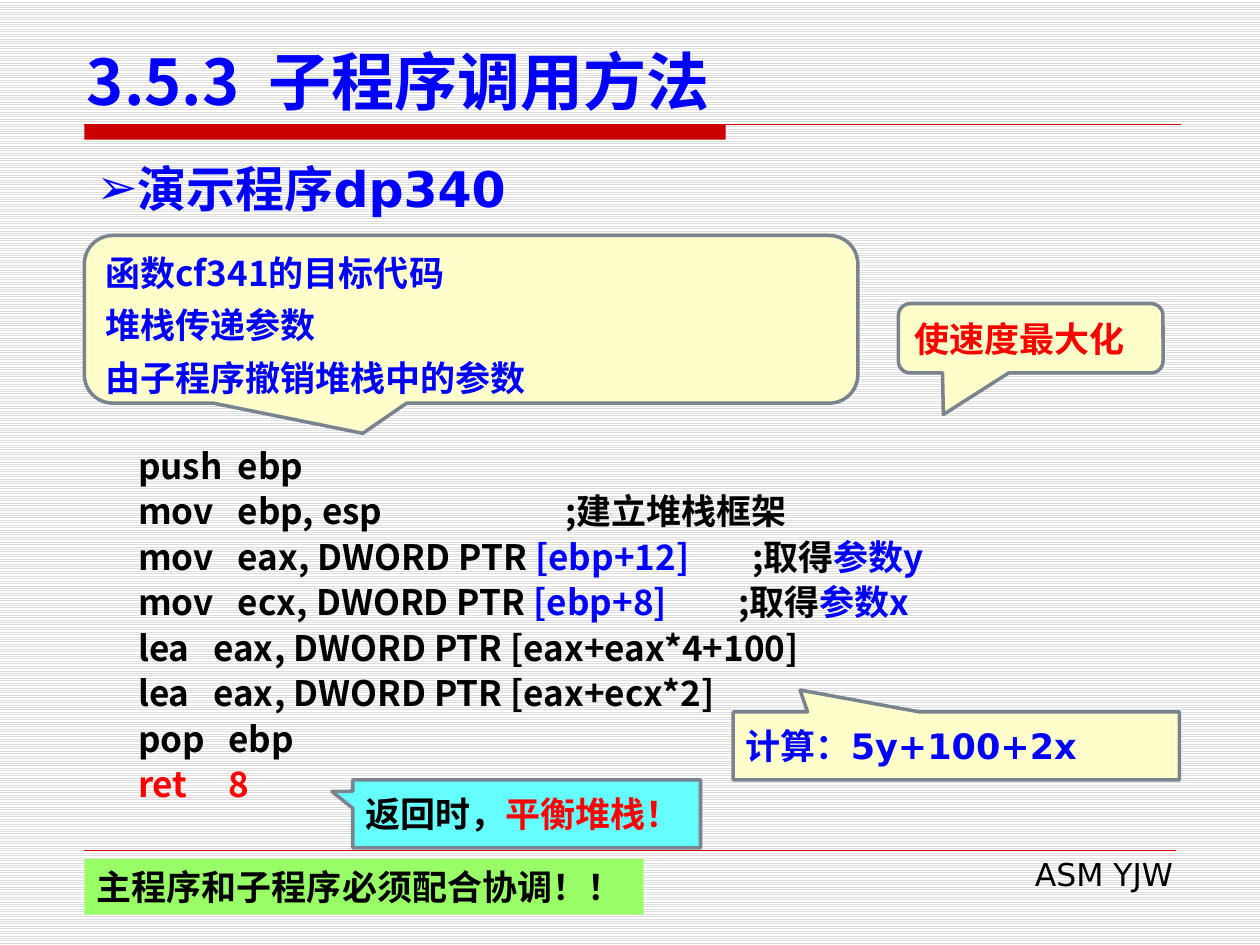
from lxml.etree import SubElement as Sub
from pptx import Presentation
from pptx.dml.color import RGBColor as RGB
from pptx.enum.dml import MSO_PATTERN as Pat
from pptx.enum.shapes import MSO_CONNECTOR as Conn, MSO_SHAPE as Kind
from pptx.enum.text import MSO_ANCHOR as Anchor, PP_ALIGN as Align
from pptx.oxml.ns import qn
from pptx.util import Pt

HEX = {"blue": "0000FF", "red": "FF0000", "black": "000000", "rule": "CC0000",
       "cream": "FFFFCC", "cyan": "66FFFF", "green": "99FF66",
       "edge": "79848F", "gray": "DDDDDD", "white": "FFFFFF"}
SANS, CJK = "DejaVu Sans", "Noto Sans CJK SC"

# Content: a paragraph is a list of (text, colour) runs
TITLE = [[("3.5.3  子程序调用方法", "blue")]]
TOPIC = [[("演示程序dp340", "blue")]]
FOOT = [[("ASM YJW", "black")]]

# Code lines: tab stops, then runs
CODE = [
    ([57], [("push\tebp", "black")]),
    ([57, 244], [("mov\tebp, esp\t;建立堆栈框架", "black")]),
    ([57, 351], [("mov\teax, DWORD PTR ", "black"), ("[ebp+12]", "blue"),
                 ("\t;取得", "black"), ("参数y", "blue")]),
    ([57, 343], [("mov\tecx, DWORD PTR ", "black"), ("[ebp+8]", "blue"),
                 ("\t;取得", "black"), ("参数x", "blue")]),
    ([43], [("lea\teax, DWORD PTR [eax+eax*4+100]", "black")]),
    ([43], [("lea\teax, DWORD PTR [eax+ecx*2]", "black")]),
    ([51.5], [("pop\tebp", "black")]),
    ([51.5], [("ret\t8", "red")]),
]

# Notes: kind, box, adjustments, fill, edge, font, line pitch, paragraphs
BOX, ROUND = Kind.RECTANGULAR_CALLOUT, Kind.ROUNDED_RECTANGULAR_CALLOUT
NOTES = [
    (BOX, (419, 406.8, 255, 38.9), (-0.35, -0.82), "cream", "edge", SANS, None,
     [[("计算：5y+100+2x", "blue")]]),
    (BOX, (201.6, 445.7, 198.7, 38.9), (-0.56, -0.33), "cyan", "edge", SANS, None,
     [[("返回时，", "black"), ("平衡堆栈！", "red")]]),
    (Kind.RECTANGLE, (48.2, 491, 319.7, 31.7), (), "green", None, SANS, None,
     [[("主程序和子程序必须配合协调！！", "black")]]),
    (ROUND, (48.2, 134.6, 442, 95.8), (-0.14, 0.68, 0.17), "cream", "edge", CJK, 30,
     [[("函数cf341的目标代码", "blue")], [("堆栈传递参数", "blue")],
      [("由子程序撤销堆栈中的参数", "blue")]]),
    (ROUND, (513.4, 173.5, 151.2, 39.6), (-0.33, 1.1, 0.17), "cream", "edge", CJK, None,
     [[("使速度最大化", "red")]]),
]


def tint(name):
    return RGB.from_string(HEX[name])


def write(frame, paras, size, font, bold=True, align=Align.LEFT, pitch=None):
    frame.word_wrap = True
    frame.text = "\n".join("" for _ in paras)
    for para, runs in zip(frame.paragraphs, paras):
        para.alignment = align
        if pitch:
            para.line_spacing = Pt(pitch)
        for text, hue in runs:
            run = para.add_run()
            run.text = text
            face = run.font
            face.size, face.bold, face.name = Pt(size), bold, font
            face.color.rgb = tint(hue)
            Sub(run._r.get_or_add_rPr(), qn("a:ea"), typeface=CJK)


def text_box(rect, *args, **opts):
    frame = slide.shapes.add_textbox(*map(Pt, rect)).text_frame
    write(frame, *args, **opts)
    return frame


def block(kind, rect, fill, edge=None):
    shape = slide.shapes.add_shape(kind, *map(Pt, rect))
    shape.shadow.inherit = False
    shape.fill.solid()
    shape.fill.fore_color.rgb = tint(fill)
    if edge:
        shape.line.color.rgb = tint(edge)
        shape.line.width = Pt(2)
    else:
        shape.line.fill.background()
    return shape


def rule(left, right, y, width):
    line = slide.shapes.add_connector(Conn.STRAIGHT, Pt(left), Pt(y), Pt(right), Pt(y))
    line.line.color.rgb = tint("rule")
    line.line.width = Pt(width)
    Sub(line._element.spPr, qn("a:effectLst"))


deck = Presentation()
deck.slide_width, deck.slide_height = Pt(720), Pt(540)
slide = deck.slides.add_slide(deck.slide_layouts[5])

# Striped background
back = slide.background.fill
back.patterned()
back.pattern = Pat.LIGHT_HORIZONTAL
back.fore_color.rgb, back.back_color.rgb = tint("gray"), tint("white")

# Rules and footer
block(Kind.RECTANGLE, (48.2, 71.3, 366.5, 8.6), "rule")
rule(48.2, 674.6, 71.3, 0.75)
rule(48.2, 671.8, 486, 0.25)
text_box((275, 485.3, 402.5, 28.8), FOOT, 18, SANS, bold=False, align=Align.RIGHT)

# Title
head = slide.shapes.title
head.left, head.top, head.width, head.height = map(Pt, (42.5, 20.2, 652.3, 51.1))
write(head.text_frame, TITLE, 36, CJK)
head.text_frame.vertical_anchor = Anchor.BOTTOM

# Bulleted topic
topic = text_box((48.2, 87.1, 623.5, 41), TOPIC, 28, SANS)
props = topic.paragraphs[0]._p.get_or_add_pPr()
props.set("marL", str(Pt(23.5)))
props.set("indent", str(-Pt(23.5)))
Sub(props, qn("a:buFont"), typeface=SANS)
Sub(props, qn("a:buChar"), char="➢")

# Code listing, columns held by tab stops
code = text_box((53.3, 248.4, 624.2, 217.4), [runs for _, runs in CODE], 20, CJK, pitch=26)
code.margin_left = Pt(25.6)
for para, (stops, _) in zip(code.paragraphs, CODE):
    tabs = Sub(para._p.get_or_add_pPr(), qn("a:tabLst"))
    for stop in stops:
        Sub(tabs, qn("a:tab"), pos=str(Pt(stop)), algn="l")

# Callouts and closing note
for kind, rect, bends, fill, edge, font, pitch, paras in NOTES:
    note = block(kind, rect, fill, edge)
    for i, bend in enumerate(bends):
        note.adjustments[i] = bend
    write(note.text_frame, paras, 20, font, pitch=pitch)
    note.text_frame.vertical_anchor = Anchor.MIDDLE

deck.save("out.pptx")
